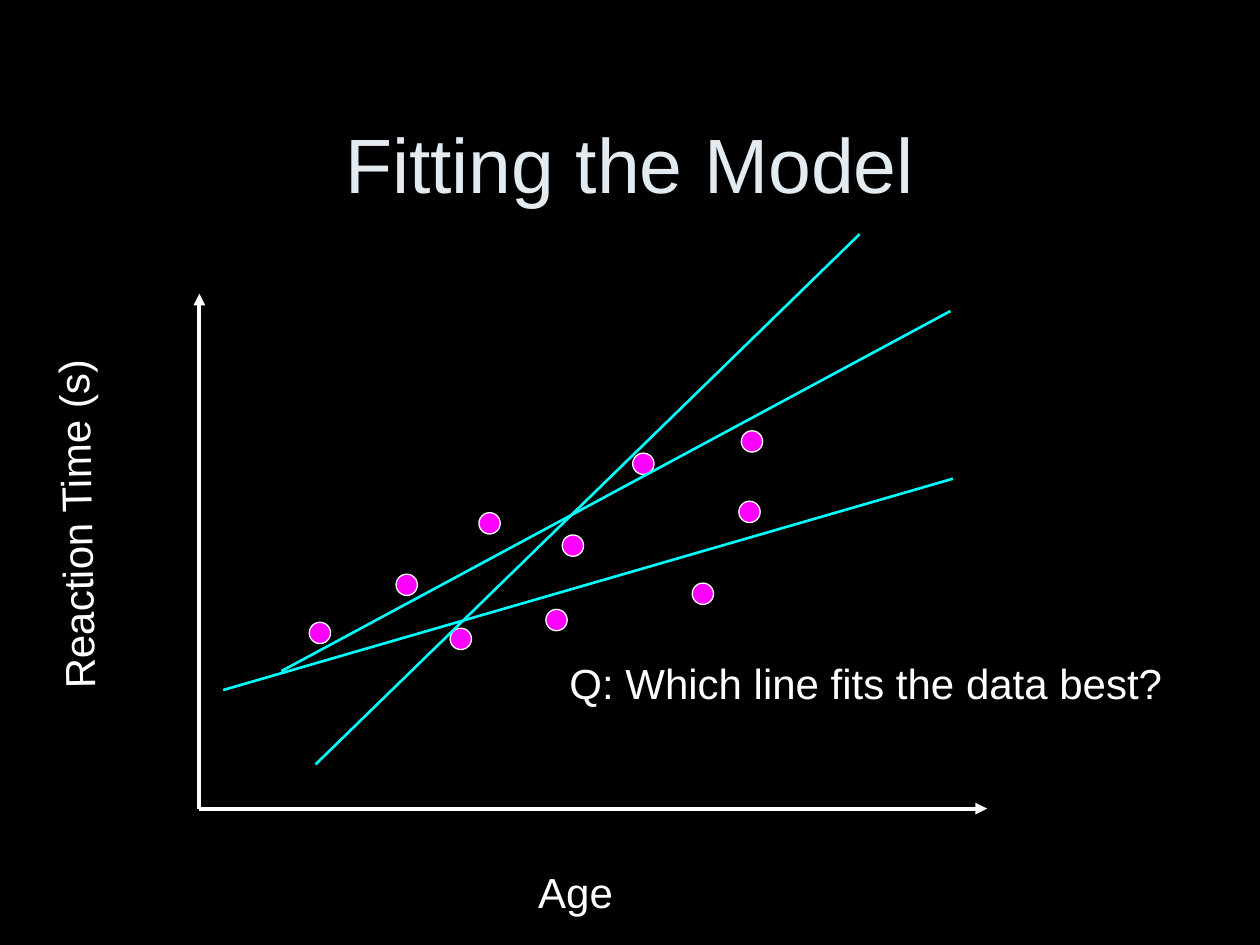
from lxml import etree
from pptx import Presentation, util as u
from pptx.dml.color import RGBColor
from pptx.enum import shapes, text
from pptx.oxml import ns

COLORS = {"background": "000000", "title": "E3EBF1", "white": "FFFFFF",
          "point": "FF00FF", "fit": "00FFFF"}
DOT = 0.43
POINTS = [(4.18, 4.51), (5.27, 3.42), (7.2, 3.8), (5.85, 5.75), (7.53, 5.3),
          (10.15, 4.33), (8.95, 6.95), (11.09, 5.98), (11.14, 7.4), (2.43, 3.54)]
FITS = [((2.34, 0.89), (13.31, 11.58)),
        ((1.65, 2.77), (15.14, 10.03)),
        ((0.48, 2.39), (15.19, 6.65))]


def rgb(name):
    return RGBColor.from_string(COLORS[name])


def add_text(s, words, box, size=24, color="white", align=text.PP_ALIGN.LEFT,
             anchor=text.MSO_ANCHOR.TOP, rotation=0):
    sp = s.shapes.add_textbox(*map(u.Cm, box))
    sp.rotation = rotation
    tf = sp.text_frame
    tf.word_wrap = True
    tf.vertical_anchor = anchor
    p = tf.paragraphs[0]
    p.alignment = align
    r = p.add_run()
    r.text = words
    r.font.name = "Arial"
    r.font.size = u.Pt(size)
    r.font.color.rgb = rgb(color)


def add_line(s, start, end, color, width, arrow=False):
    sp = s.shapes.add_connector(shapes.MSO_CONNECTOR.STRAIGHT,
                                *map(u.Cm, (*start, *end)))
    sp.line.color.rgb = rgb(color)
    sp.line.width = u.Pt(width)
    if arrow:
        etree.SubElement(sp.line._get_or_add_ln(), ns.qn("a:headEnd"), type="triangle")
    etree.SubElement(sp._element.spPr, ns.qn("a:effectLst"))


def add_dot(s, x, y):
    sp = s.shapes.add_shape(shapes.MSO_SHAPE.OVAL,
                            *map(u.Cm, (x - DOT / 2, y - DOT / 2, DOT, DOT)))
    sp.shadow.inherit = False
    sp.fill.solid()
    sp.fill.fore_color.rgb = rgb("point")
    sp.line.color.rgb = rgb("white")
    sp.line.width = u.Pt(0.75)


def add_title(s, box):
    add_text(s, "Fitting the Model", box, size=44, color="title",
             align=text.PP_ALIGN.CENTER, anchor=text.MSO_ANCHOR.MIDDLE)


def add_plot(s, box):
    left, top, width, height = box
    bottom = top + height

    def place(x, y):
        return left + x, bottom - y

    add_line(s, (left, top), (left, bottom), "white", 2.25, arrow=True)
    add_line(s, (left + width, bottom), (left, bottom), "white", 2.25, arrow=True)
    add_text(s, "Age", (left + 6.58, bottom + 1.04, 2.34, 1.27))
    add_text(s, "Reaction Time (s)", (left - 6.32, top + 3.78, 7.62, 1.27),
             rotation=268.8)
    for point in POINTS:
        add_dot(s, *place(*point))
    for start, end in FITS:
        add_line(s, place(*start), place(*end), "fit", 1.5)
    add_text(s, "Q: Which line fits the data best?",
             (left + 7.21, bottom - 3.18, 12.7, 1.27))


def main():
    prs = Presentation()
    prs.slide_width, prs.slide_height = u.Cm(25.4), u.Cm(19.05)
    s = prs.slides.add_slide(prs.slide_layouts[6])
    s.background.fill.solid()
    s.background.fill.fore_color.rgb = rgb("background")
    add_title(s, (1.9, 1.7, 21.6, 3.18))
    add_plot(s, (4.02, 5.92, 15.88, 10.38))
    prs.save("out.pptx")


if __name__ == "__main__":
    main()
